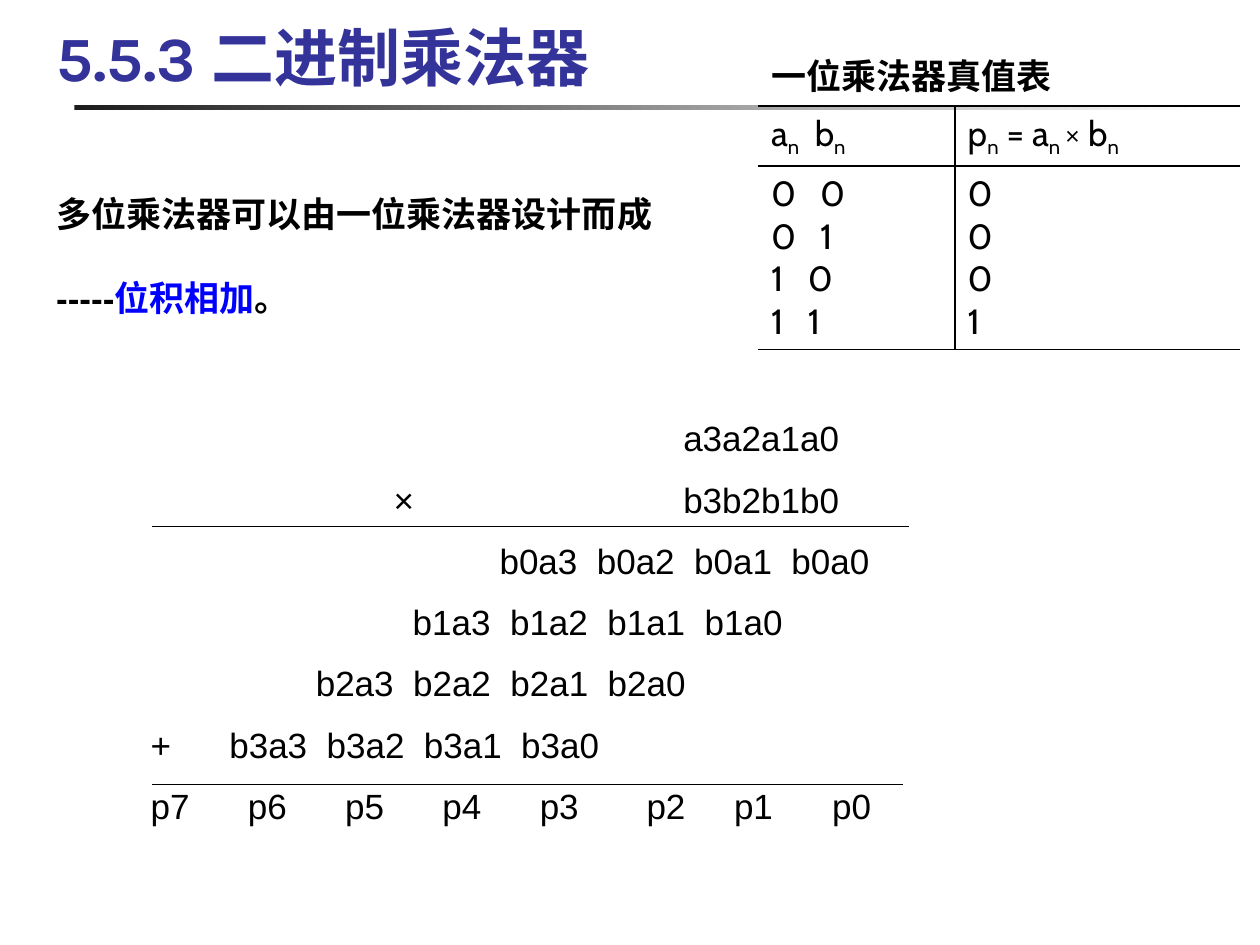
import dataclasses
import typing

import lxml.etree
import pptx
import pptx.dml.color
import pptx.enum.shapes
import pptx.enum.text
import pptx.oxml.ns
import pptx.util

BLACK = "000000"
LINE_PITCH = 55.6
Pt = pptx.util.Pt


@dataclasses.dataclass
class Span:
    """A stretch of text with one format."""
    text: str
    color: str = BLACK
    subscript: bool = False


@dataclasses.dataclass
class Line:
    """A paragraph with its tab stops in points."""
    spans: list[Span]
    stops: typing.Sequence[float] = ()


@dataclasses.dataclass
class Rule:
    """A horizontal rule in points."""
    left: float
    right: float
    top: float


def paint(color: str) -> pptx.dml.color.RGBColor:
    """Turn a hex string into a colour."""
    return pptx.dml.color.RGBColor.from_string(color)


def add_child(parent, tag: str, **attributes: str):
    """Append a drawing element to a parent."""
    return lxml.etree.SubElement(parent, pptx.oxml.ns.qn(tag), attributes)


def add_span(para, text: str, *, font: str = "Arial", size: float = 20,
             color: str = BLACK, bold: bool = False, subscript: bool = False) -> None:
    """Add formatted text to a paragraph."""
    span = para.add_run()
    span.text = text
    span.font.name = font
    span.font.size = Pt(size)
    span.font.bold = bold
    span.font.color.rgb = paint(color)
    if subscript:
        span.font._element.set("baseline", "-25000")


def fill_frame(frame, lines: list[Line], *, gap: float = 0, font: str = "Arial",
               bold: bool = False) -> None:
    """Write lines into a text frame, with a gap between them."""
    frame.word_wrap = True
    for index, line in enumerate(lines):
        para = frame.add_paragraph() if index else frame.paragraphs[0]
        if line.stops:
            tabs = add_child(para._p.get_or_add_pPr(), "a:tabLst")
            for stop in line.stops:
                add_child(tabs, "a:tab", pos=str(int(Pt(stop))), algn="l")
        if index and gap:
            para.space_before = Pt(gap)
        for span in line.spans:
            add_span(para, span.text, font=font, color=span.color, bold=bold,
                     subscript=span.subscript)


def add_box(page, left: float, top: float, width: float, height: float,
            lines: list[Line], **style):
    """Add a text box of lines."""
    box = page.shapes.add_textbox(Pt(left), Pt(top), Pt(width), Pt(height))
    fill_frame(box.text_frame, lines, **style)
    return box


def add_rule(page, rule: Rule):
    """Draw a thin black rule."""
    line = page.shapes.add_connector(
        pptx.enum.shapes.MSO_CONNECTOR.STRAIGHT,
        Pt(rule.left), Pt(rule.top), Pt(rule.right), Pt(rule.top))
    line.line.color.rgb = paint(BLACK)
    line.line.width = Pt(0.75)
    add_child(line._element.spPr, "a:effectLst")
    return line


def set_borders(cell, edges: str) -> None:
    """Draw the named cell edges and clear the others."""
    properties = cell._tc.get_or_add_tcPr()
    for edge in "LRTB":
        border = add_child(properties, f"a:ln{edge}", w=str(int(Pt(1))))
        if edge in edges:
            add_child(add_child(border, "a:solidFill"), "a:srgbClr", val=BLACK)
        else:
            add_child(border, "a:noFill")
    cell.fill.background()


def tabbed(words: list[str], stops: list[float]) -> Line:
    """Place each word at its own tab stop."""
    return Line([Span("".join(f"\t{word}" for word in words))], stops)


def indexed(text: str) -> list[Span]:
    """Write a symbol followed by a subscript n."""
    return [Span(text), Span("n", subscript=True)]


def add_title(page) -> None:
    """Fill the title and draw the fading bar beneath it."""
    title = page.shapes.title
    title.left, title.top, title.width, title.height = Pt(25), Pt(20), Pt(613), Pt(37.5)
    frame = title.text_frame
    frame.auto_size = pptx.enum.text.MSO_AUTO_SIZE.NONE
    frame.vertical_anchor = pptx.enum.text.MSO_ANCHOR.BOTTOM
    para = frame.paragraphs[0]
    para.alignment = pptx.enum.text.PP_ALIGN.LEFT
    add_span(para, "5.5.3 二进制乘法器", font="Karla", size=36, color="333399", bold=True)
    bar = page.shapes.add_shape(
        pptx.enum.shapes.MSO_SHAPE.RECTANGLE, Pt(42.5), Pt(60.2), Pt(648), Pt(2.5))
    bar.shadow.inherit = False
    bar.line.fill.background()
    bar.fill.gradient()
    bar.fill.gradient_angle = 0
    for stop, color in zip(bar.fill.gradient_stops, ("1C1C1C", "FFFFFF")):
        stop.color.rgb = paint(color)


def add_truth_table(page) -> None:
    """Add the truth table of the one-bit multiplier."""
    table = page.shapes.add_table(3, 2, Pt(433.4), Pt(23.8), Pt(275), Pt(172)).table
    table.first_row = table.horz_banding = False
    for column, width in zip(table.columns, (112.4, 162.6)):
        column.width = Pt(width)
    for row, height in zip(table.rows, (36.7, 32.4, 103)):
        row.height = Pt(height)
    table.cell(0, 0).merge(table.cell(0, 1))
    inputs = [("0", "0", 28), ("0", "1", 28), ("1", "0", 21), ("1", "1", 21)]
    contents = {
        (0, 0): [Line([Span("一位乘法器真值表")])],
        (1, 0): [Line(indexed("a") + indexed("\tb"), [25])],
        (1, 1): [Line(indexed("p") + indexed(" = a")
                      + [Span(" ", subscript=True)] + indexed("× b"))],
        (2, 0): [Line([Span(f"{a}\t{b}")], [stop]) for a, b, stop in inputs],
        (2, 1): [Line([Span(str(int(a) * int(b)))]) for a, b, _ in inputs],
    }
    for (row, column), lines in contents.items():
        cell = table.cell(row, column)
        cell.vertical_anchor = pptx.enum.text.MSO_ANCHOR.MIDDLE
        fill_frame(cell.text_frame, lines, font="Cabin", bold=row == 0)
    for row in range(3):
        for column in range(2):
            edges = "B" + ("T" if row else "")
            if row:
                edges += "R" if column == 0 else "L"
            set_borders(table.cell(row, column), edges)


def add_multiplication(page) -> None:
    """Lay out the long multiplication with its rules."""
    lines = [tabbed(["a3a2a1a0"], [310]), tabbed(["×", "b3b2b1b0"], [144.5, 310])]
    for digit, start in enumerate((205, 155.4, 100, 50.6)):
        words = [f"b{digit}a{index}" for index in (3, 2, 1, 0)]
        stops = [start + LINE_PITCH * index for index in range(4)]
        if digit == 3:
            words, stops = ["+"] + words, [5.6] + stops
        lines.append(tabbed(words, stops))
    lines.append(tabbed([f"p{index}" for index in range(7, -1, -1)],
                        [5.6, 61.2, 116.8, 172.4, 228, 289, 339, 395]))
    box = add_box(page, 73.4, 234.7, 456.5, 249.8, lines, gap=11)
    upper = add_rule(page, Rule(87, 519.2, 301))
    page.shapes.add_group_shape([box, upper])
    add_rule(page, Rule(87, 516, 448.4))


def main() -> None:
    """Build the slide and save it."""
    deck = pptx.Presentation()
    deck.slide_width, deck.slide_height = Pt(720), Pt(540)
    page = deck.slides.add_slide(deck.slide_layouts[5])
    add_title(page)
    add_truth_table(page)
    add_box(page, 25, 106.6, 383, 80, [
        Line([Span("多位乘法器可以由一位乘法器设计而成")]),
        Line([Span("-----"), Span("位积相加", "0000FF"), Span("。")]),
    ], gap=24, bold=True)
    add_multiplication(page)
    deck.save("out.pptx")


if __name__ == "__main__":
    main()
